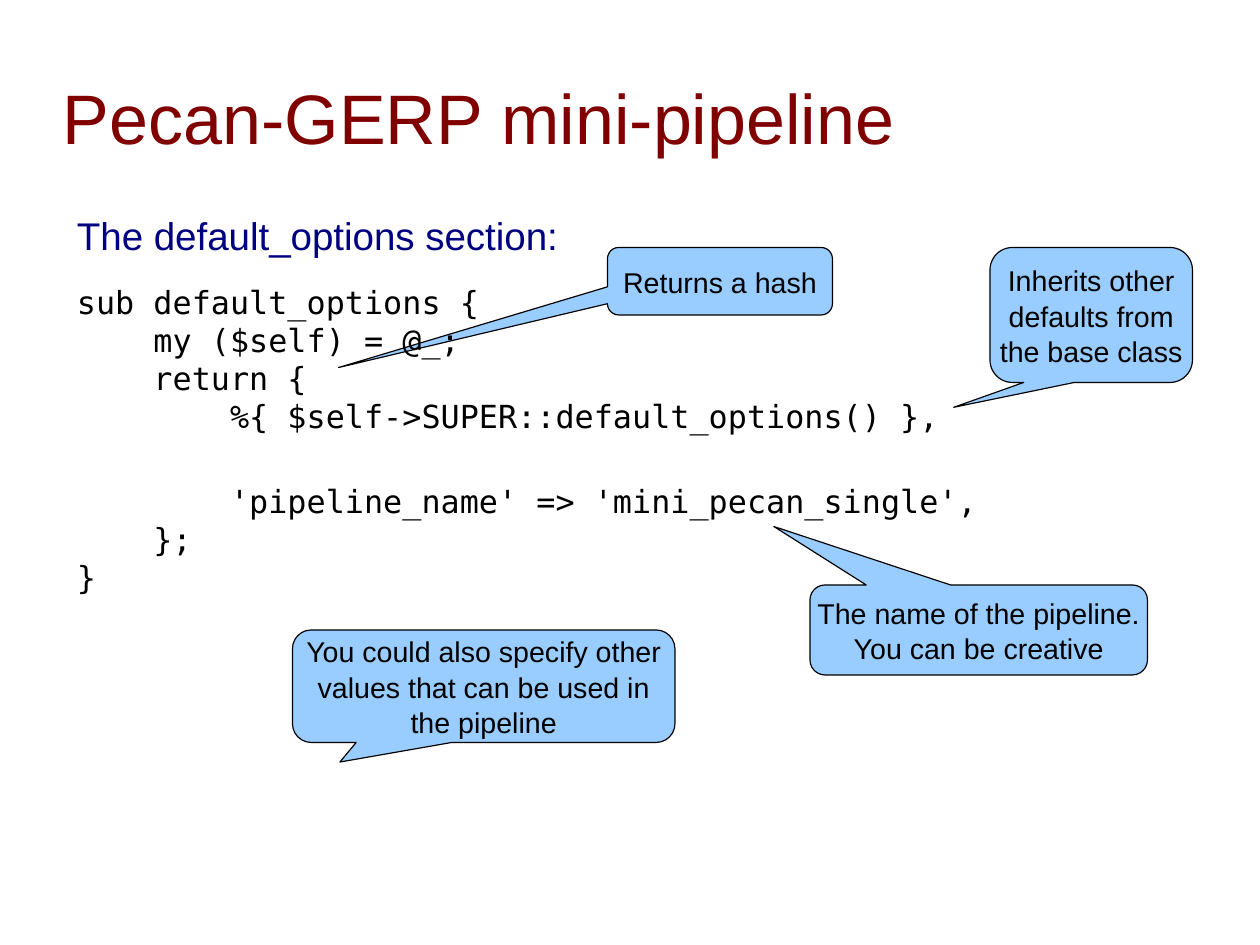
"""Build the Pecan-GERP mini-pipeline slide with its annotated code sample."""
import pptx
import pptx.dml.color
import pptx.enum.shapes
import pptx.enum.text
import pptx.util

Cm = pptx.util.Cm
Pt = pptx.util.Pt
ANCHOR = pptx.enum.text.MSO_ANCHOR
ALIGN = pptx.enum.text.PP_ALIGN


def color(value):
    return pptx.dml.color.RGBColor.from_string(value)


def write_line(frame, text, size=18, font="Arial", ink="000000",
               align=ALIGN.LEFT, before=0, after=0, spacing=1.0):
    para = frame.paragraphs[0]
    if para.runs:
        para = frame.add_paragraph()
    para.alignment = align
    para.space_before = Pt(before)
    para.space_after = Pt(after)
    para.line_spacing = spacing
    span = para.add_run()
    span.text = text
    span.font.size = Pt(size)
    span.font.name = font
    span.font.color.rgb = color(ink)


deck = pptx.Presentation()
deck.slide_width = Cm(28)
deck.slide_height = Cm(21)
page = deck.slides.add_slide(deck.slide_layouts[6])

title_box = page.shapes.add_textbox(Cm(1.4), Cm(0.84), Cm(25.2), Cm(3.5))
code_box = page.shapes.add_textbox(Cm(1.4), Cm(4.7), Cm(25.27), Cm(13.59))
for box, anchor, indent in [(title_box, ANCHOR.MIDDLE, 0), (code_box, ANCHOR.TOP, 0.31)]:
    frame = box.text_frame
    frame.word_wrap = True
    frame.vertical_anchor = anchor
    frame.margin_left = Cm(indent)
    frame.margin_top = frame.margin_right = frame.margin_bottom = 0

write_line(title_box.text_frame, "Pecan-GERP mini-pipeline", size=44.1, ink="800000")
write_line(code_box.text_frame, "The default_options section:", size=24.3, ink="000080", after=15.6)

code_blocks = [
    """sub default_options {
    my ($self) = @_;
    return {
        %{ $self->SUPER::default_options() },""",
    """        'pipeline_name' => 'mini_pecan_single',
    };
}""",
]
for block_number, block in enumerate(code_blocks):
    for line_number, line in enumerate(block.split("\n")):
        gap = 29.5 if block_number and line_number == 0 else 0
        write_line(code_box.text_frame, line, size=20, font="DejaVu Sans Mono", before=gap)

callouts = [
    (13.5, 5.5, 5, 1.5, -1.695, 1.279, ["Returns a hash"]),
    (22, 5.5, 4.5, 3, -0.679, 0.684, ["Inherits other", "defaults from", "the base class"]),
    (18, 13, 7.5, 2, -0.607, -1.15, ["The name of the pipeline.", "You can be creative"]),
    (6.5, 14, 8.5, 2.5, -0.376, 0.674,
     ["You could also specify other", "values that can be used in", "the pipeline"]),
]
for number, (left, top, width, height, tip_x, tip_y, lines) in enumerate(callouts):
    callout = page.shapes.add_shape(
        pptx.enum.shapes.MSO_SHAPE.ROUNDED_RECTANGULAR_CALLOUT,
        Cm(left), Cm(top), Cm(width), Cm(height))
    callout.shadow.inherit = False
    callout.adjustments[0] = tip_x
    callout.adjustments[1] = tip_y
    callout.adjustments[2] = 0.167
    callout.fill.solid()
    callout.fill.fore_color.rgb = color("99CCFF")
    callout.line.color.rgb = color("000000")
    callout.line.width = Pt(0)
    frame = callout.text_frame
    frame.word_wrap = False
    frame.vertical_anchor = ANCHOR.MIDDLE
    for line in lines:
        write_line(frame, line, align=ALIGN.CENTER, spacing=1.04)
    if number == 0:
        title_box.element.addprevious(callout.element)

deck.save("out.pptx")
